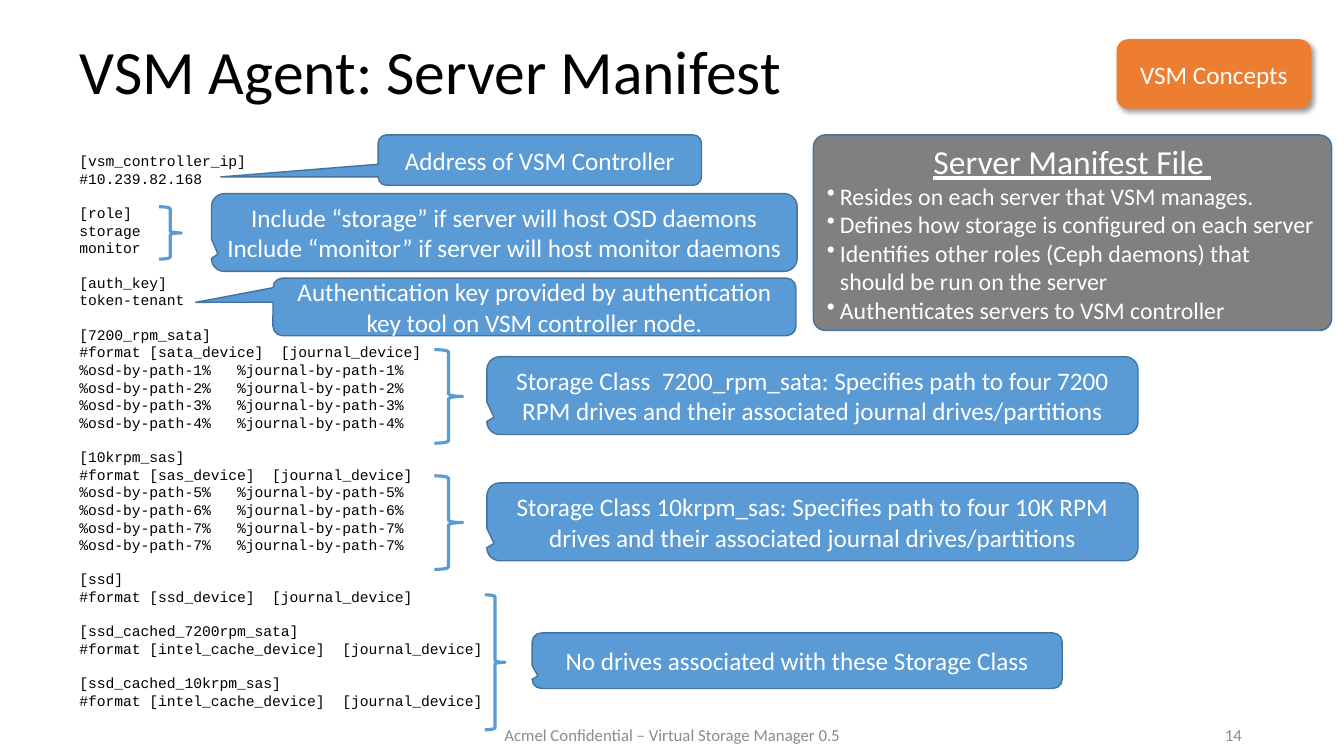
from dataclasses import dataclass
from typing import Optional

from lxml import etree
from pptx import Presentation
from pptx.dml.color import RGBColor
from pptx.enum.shapes import MSO_SHAPE
from pptx.enum.text import MSO_ANCHOR, MSO_AUTO_SIZE, PP_ALIGN
from pptx.oxml.ns import qn
from pptx.shapes.autoshape import Shape
from pptx.slide import Slide
from pptx.text.text import TextFrame, _Paragraph
from pptx.util import Cm, Pt

ROUNDED = MSO_SHAPE.ROUNDED_RECTANGLE
CALLOUT = MSO_SHAPE.ROUNDED_RECTANGULAR_CALLOUT
BRACE = MSO_SHAPE.RIGHT_BRACE
MIDDLE = MSO_ANCHOR.MIDDLE
GROW = MSO_AUTO_SIZE.SHAPE_TO_FIT_TEXT
LEFT, CENTER, RIGHT = PP_ALIGN.LEFT, PP_ALIGN.CENTER, PP_ALIGN.RIGHT

BLACK, WHITE, BLUE, DARK_BLUE = "000000", "FFFFFF", "5B9BD5", "43739E"
PANEL_GRAY, FOOTER_GRAY, ORANGE = "808080", "8C8C8C", "ED7D31"
BULLET_INDENT = Cm(0.33)
CODE_LINE_HEIGHT = 11.9

Box = tuple[float, float, float, float]


@dataclass(frozen=True)
class TextStyle:
    size: float
    color: str = WHITE
    font: str = "Calibri"
    align: PP_ALIGN = CENTER
    underline: bool = False


@dataclass(frozen=True)
class Note:
    box: Box
    pointer: tuple[float, float]
    lines: tuple[str, ...]
    brace: Optional[Box] = None


LABEL = TextStyle(18)
CODE = TextStyle(10.5, BLACK, "Courier New", LEFT)
SIDE_POINTER = (-0.489, 0.277)

MANIFEST = (
    ("[vsm_controller_ip]", "#10.239.82.168"),
    ("[role]", "storage", "monitor"),
    ("[auth_key]", "token-tenant"),
    (
        "[7200_rpm_sata]",
        "#format [sata_device]  [journal_device]",
        "%osd-by-path-1%   %journal-by-path-1%",
        "%osd-by-path-2%   %journal-by-path-2%",
        "%osd-by-path-3%   %journal-by-path-3%",
        "%osd-by-path-4%   %journal-by-path-4%",
    ),
    (
        "[10krpm_sas]",
        "#format [sas_device]  [journal_device]",
        "%osd-by-path-5%   %journal-by-path-5%",
        "%osd-by-path-6%   %journal-by-path-6%",
        "%osd-by-path-7%   %journal-by-path-7%",
        "%osd-by-path-7%   %journal-by-path-7%",
    ),
    ("[ssd]", "#format [ssd_device]  [journal_device]"),
    ("[ssd_cached_7200rpm_sata]", "#format [intel_cache_device]  [journal_device]"),
    ("[ssd_cached_10krpm_sas]", "#format [intel_cache_device]  [journal_device]"),
)

NOTES = (
    Note((9.53, 3.4, 8.15, 1.27), (-0.987, 0.334), ("Address of VSM Controller",)),
    Note(
        (5.33, 4.88, 14.76, 1.96),
        SIDE_POINTER,
        (
            "Include “storage” if server will host OSD daemons",
            "Include “monitor” if server will host monitor daemons",
        ),
        (4.01, 5.21, 0.56, 1.32),
    ),
    Note(
        (6.88, 7.01, 13.18, 1.45),
        (-0.648, -0.079),
        ("Authentication key provided by authentication key tool on VSM controller node.",),
    ),
    Note(
        (12.27, 8.99, 16.41, 1.96),
        SIDE_POINTER,
        ("Storage Class  7200_rpm_sata: Specifies path to four 7200 RPM drives "
         "and their associated journal drives/partitions",),
        (10.95, 8.81, 0.71, 2.36),
    ),
    Note(
        (12.27, 12.17, 16.41, 1.96),
        SIDE_POINTER,
        ("Storage Class 10krpm_sas: Specifies path to four 10K RPM drives "
         "and their associated journal drives/partitions",),
        (10.95, 11.99, 0.71, 2.36),
    ),
    Note(
        (13.41, 15.95, 13.36, 1.4),
        SIDE_POINTER,
        ("No drives associated with these Storage Class",),
        (12.22, 14.99, 0.51, 3.4),
    ),
)

MANIFEST_FACTS = (
    "Resides on each server that VSM manages.",
    "Defines how storage is configured on each server",
    "Identifies other roles (Ceph daemons) that should be run on the server",
    "Authenticates servers to VSM controller",
)


def rgb(value: str) -> RGBColor:
    return RGBColor.from_string(value)


def write_line(frame: TextFrame, text: str, style: TextStyle) -> _Paragraph:
    first = frame.paragraphs[0]
    paragraph = frame.add_paragraph() if first.runs else first
    paragraph.alignment = style.align
    run = paragraph.add_run()
    run.text = text
    run.font.size = Pt(style.size)
    run.font.name = style.font
    run.font.underline = style.underline
    run.font.color.rgb = rgb(style.color)
    return paragraph


def add_bullet(paragraph: _Paragraph) -> None:
    properties = paragraph._p.get_or_add_pPr()
    properties.set("marL", str(BULLET_INDENT))
    properties.set("indent", str(-BULLET_INDENT))
    etree.SubElement(properties, qn("a:buChar")).set("char", "•")


def add_block(slide: Slide, kind: MSO_SHAPE, box: Box, fill: Optional[str],
              line: Optional[str], width: float = 1) -> Shape:
    shape = slide.shapes.add_shape(kind, *map(Cm, box))
    shape.shadow.inherit = False
    if fill:
        shape.fill.solid()
        shape.fill.fore_color.rgb = rgb(fill)
    else:
        shape.fill.background()
    if line:
        shape.line.color.rgb = rgb(line)
        shape.line.width = Pt(width)
    else:
        shape.line.fill.background()
    shape.text_frame.word_wrap = True
    shape.text_frame.vertical_anchor = MIDDLE
    return shape


def add_shadow(shape: Shape) -> None:
    effects = shape._element.spPr.find(qn("a:effectLst"))
    shadow = etree.SubElement(effects, qn("a:outerShdw"), blurRad=str(Pt(4)),
                              dist=str(Pt(3)), dir="2700000", algn="tl", rotWithShape="0")
    color = etree.SubElement(shadow, qn("a:srgbClr"), val=BLACK)
    etree.SubElement(color, qn("a:alpha"), val="40000")


def add_title(slide: Slide) -> None:
    title = slide.shapes.title
    title.left, title.top, title.width, title.height = map(Cm, (1.75, 0.03, 29.21, 3.68))
    title.text_frame.vertical_anchor = MIDDLE
    style = TextStyle(44, BLACK, align=LEFT)
    write_line(title.text_frame, "VSM Agent: Server Manifest", style).line_spacing = 0.9


def add_footer(slide: Slide, box: Box, text: str, align: PP_ALIGN) -> None:
    frame = slide.shapes.add_textbox(*map(Cm, box)).text_frame
    frame.word_wrap = True
    frame.vertical_anchor = MIDDLE
    write_line(frame, text, TextStyle(12, FOOTER_GRAY, align=align))


def add_manifest(slide: Slide) -> None:
    frame = slide.shapes.add_textbox(*map(Cm, (1.75, 3.71, 10.97, 15.06))).text_frame
    frame.word_wrap = False
    frame.auto_size = GROW
    for section_index, section in enumerate(MANIFEST):
        for line_index, text in enumerate(section):
            paragraph = write_line(frame, text, CODE)
            if section_index and not line_index:
                paragraph.space_before = Pt(CODE_LINE_HEIGHT)


def add_note(slide: Slide, note: Note) -> None:
    if note.brace:
        add_block(slide, BRACE, note.brace, None, BLUE, 2.25)
    callout = add_block(slide, CALLOUT, note.box, BLUE, DARK_BLUE)
    callout.adjustments[0], callout.adjustments[1] = note.pointer
    for text in note.lines:
        write_line(callout.text_frame, text, LABEL)


def add_facts_panel(slide: Slide) -> None:
    panel = add_block(slide, ROUNDED, (20.5, 3.4, 13.06, 4.93), PANEL_GRAY, DARK_BLUE)
    panel.adjustments[0] = 0.062
    write_line(panel.text_frame, "Server Manifest File ", TextStyle(24, underline=True))
    for fact in MANIFEST_FACTS:
        add_bullet(write_line(panel.text_frame, fact, TextStyle(17, align=LEFT)))


def main() -> None:
    presentation = Presentation()
    presentation.slide_width, presentation.slide_height = Cm(33.87), Cm(19.05)
    slide = presentation.slides.add_slide(presentation.slide_layouts.get_by_name("Title Only"))
    add_title(slide)
    add_footer(slide, (11.23, 18.01, 11.43, 1.02),
               "Acmel Confidential – Virtual Storage Manager 0.5", CENTER)
    add_footer(slide, (23.93, 18.01, 7.62, 1.02), "14", RIGHT)
    add_manifest(slide)
    for note in NOTES:
        add_note(slide, note)
    add_facts_panel(slide)
    badge = add_block(slide, ROUNDED, (28.14, 0.99, 4.9, 1.75), ORANGE, None)
    add_shadow(badge)
    write_line(badge.text_frame, "VSM Concepts", LABEL)
    presentation.save("out.pptx")


if __name__ == "__main__":
    main()
